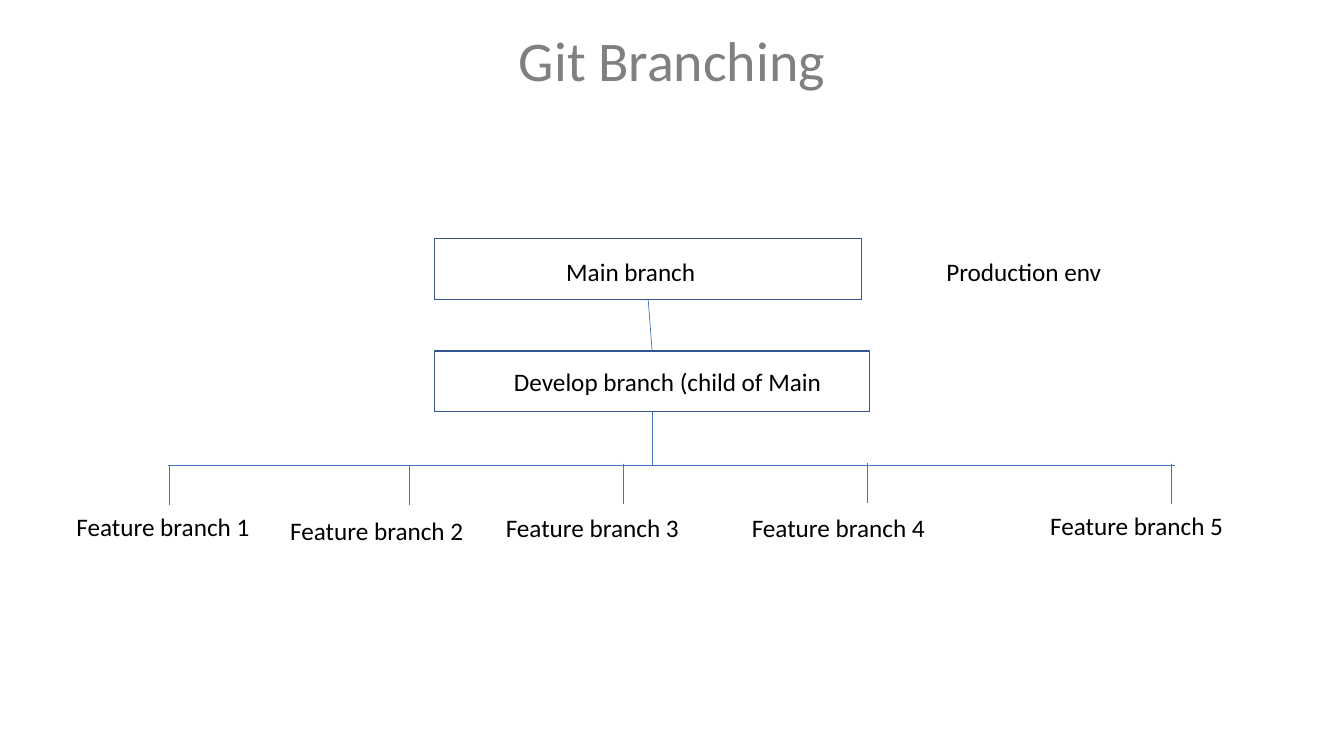
from lxml import etree
from pptx import Presentation
from pptx.dml.color import RGBColor
from pptx.enum.shapes import MSO_CONNECTOR, MSO_SHAPE
from pptx.enum.text import MSO_ANCHOR, MSO_AUTO_SIZE, PP_ALIGN
from pptx.oxml.ns import qn
from pptx.util import Pt

STRAIGHT = MSO_CONNECTOR.STRAIGHT
RECTANGLE = MSO_SHAPE.RECTANGLE
TOP = MSO_ANCHOR.TOP
NO_AUTOFIT = MSO_AUTO_SIZE.NONE
LEFT, CENTER = PP_ALIGN.LEFT, PP_ALIGN.CENTER

FONT = "Calibri"
COLORS = {"title": "808080", "text": "000000", "border": "325491", "link": "4472C4"}
TITLE_ONLY = 5
PAGE_WIDTH, PAGE_HEIGHT = 960, 540
BOX_LEFT, BOX_HEIGHT = 310.3, 43.2
LABEL_HEIGHT = 28.8
FEATURE_WIDTH = 173.5
TICK_LENGTH = 28.8
TRUNK_X = 465.8
RAIL_Y = 332.6

# Each feature: tick x, tick top, label left, label top
FEATURES = [
    (121, 331.9, 47.5, 361.4),
    (292.3, 331.9, 200.2, 364.3),
    (445, 331.2, 354.2, 362.2),
    (619.9, 330.5, 529.9, 362.2),
    (836.6, 331.2, 743, 360.7),
]


def color(name):
    return RGBColor.from_string(COLORS[name])


def write(box, text, size, color_name, align):
    frame = box.text_frame
    frame.word_wrap = True
    frame.auto_size = NO_AUTOFIT
    frame.vertical_anchor = TOP
    para = frame.paragraphs[0]
    para.alignment = align
    span = para.add_run()
    span.text = text
    span.font.name = FONT
    span.font.size = Pt(size)
    span.font.color.rgb = color(color_name)


def set_title(page, text):
    title = page.shapes.title
    title.left, title.top = Pt(0), Pt(14.4)
    title.width, title.height = Pt(PAGE_WIDTH), Pt(55.7)
    write(title, text, 40, "title", CENTER)


def add_label(page, text, left, top, width):
    box = page.shapes.add_textbox(Pt(left), Pt(top), Pt(width), Pt(LABEL_HEIGHT))
    write(box, text, 18, "text", LEFT)


def add_box(page, top, width):
    box = page.shapes.add_shape(RECTANGLE, Pt(BOX_LEFT), Pt(top), Pt(width), Pt(BOX_HEIGHT))
    box.shadow.inherit = False
    box.fill.background()
    box.line.color.rgb = color("border")
    box.line.width = Pt(1)


def add_link(page, x1, y1, x2, y2):
    link = page.shapes.add_connector(STRAIGHT, Pt(x1), Pt(y1), Pt(x2), Pt(y2))
    link.line.color.rgb = color("link")
    link.line.width = Pt(0.5)
    etree.SubElement(link._element.spPr, qn("a:effectLst"))


def main():
    deck = Presentation()
    deck.slide_width, deck.slide_height = Pt(PAGE_WIDTH), Pt(PAGE_HEIGHT)
    page = deck.slides.add_slide(deck.slide_layouts[TITLE_ONLY])
    set_title(page, "Git Branching")

    add_box(page, 170.6, 305.3)
    add_label(page, "Main branch", 397.4, 179.3, 110.2)
    add_label(page, "Production env", 668.9, 179.3, 194.4)
    add_link(page, 463, 213.8, TRUNK_X, 250.6)

    add_box(page, 250.6, 311)
    add_label(page, "Develop branch (child of Main", 360, 257.8, 236.9)
    add_link(page, TRUNK_X, 293.8, TRUNK_X, 331.9)

    add_link(page, 120.2, RAIL_Y, 839.5, RAIL_Y)
    for number, (x, y, left, top) in enumerate(FEATURES, start=1):
        add_link(page, x, y, x, y + TICK_LENGTH)
        add_label(page, f"Feature branch {number}", left, top, FEATURE_WIDTH)

    deck.save("out.pptx")


if __name__ == "__main__":
    main()
